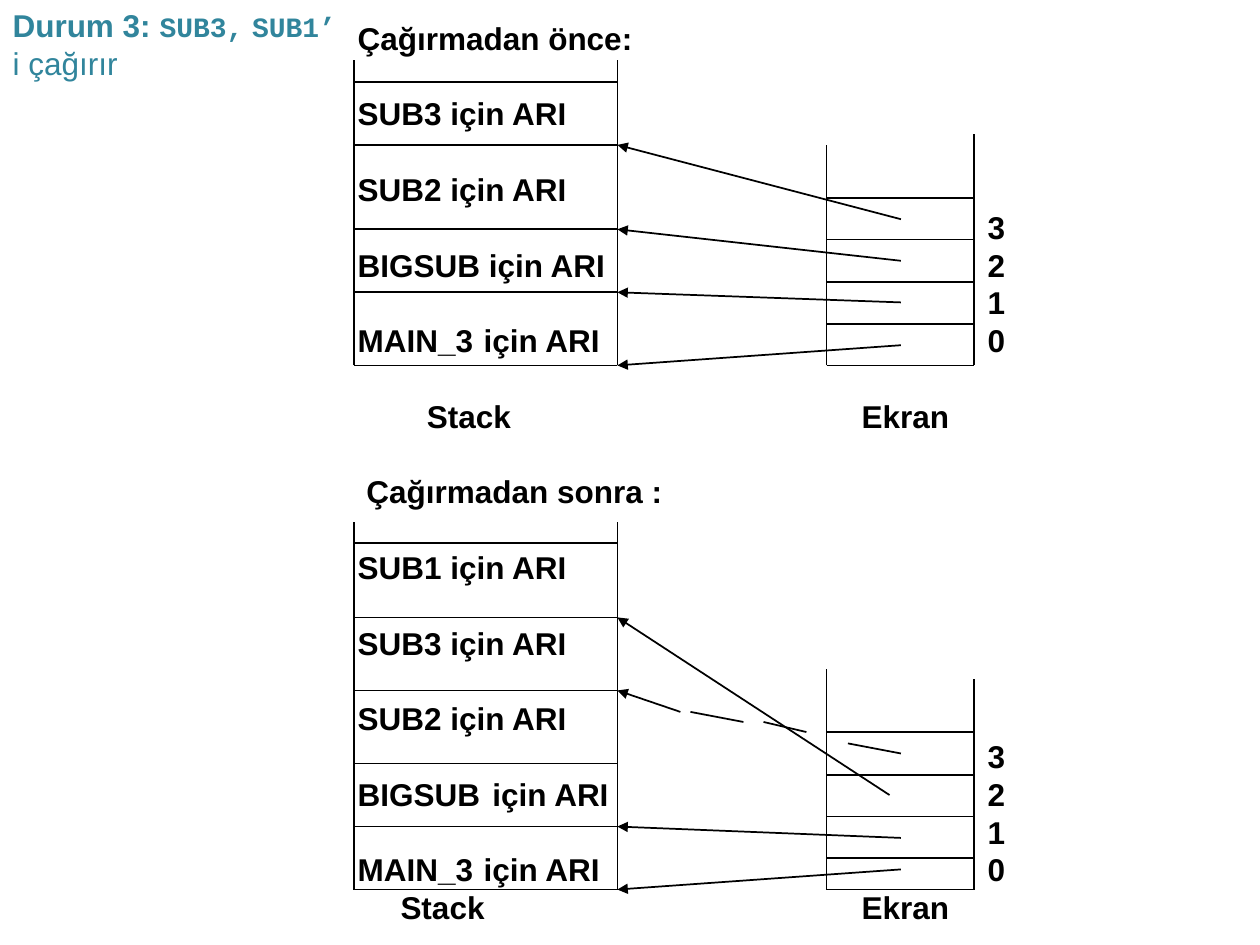
from dataclasses import dataclass

from lxml import etree
from pptx import Presentation
from pptx.dml.color import RGBColor
from pptx.enum.shapes import MSO_CONNECTOR
from pptx.enum.text import MSO_ANCHOR, MSO_AUTO_SIZE, PP_ALIGN
from pptx.oxml.ns import qn
from pptx.util import Inches, Pt

STRAIGHT = MSO_CONNECTOR.STRAIGHT
LEFT = PP_ALIGN.LEFT
TOP = MSO_ANCHOR.TOP
FIXED_SIZE = MSO_AUTO_SIZE.NONE

BLACK = "000000"
TEAL = "31859C"
LINE_PITCH = 21.6

STACK_LEFT, STACK_RIGHT = 2.81, 4.9
DISPLAY_LEFT, DISPLAY_RIGHT = 6.56, 7.73
POINTER_START = 7.15
NUMBER_TAB = 5.0
DISPLAY_TAB = 4.0


@dataclass(frozen=True)
class Column:
    """Open-topped column of cells; rules run from the base upwards."""
    left: float
    right: float
    left_top: float
    right_top: float
    rules: tuple[float, ...]


@dataclass(frozen=True)
class Segment:
    x1: float
    y1: float
    x2: float
    y2: float
    arrow: bool = False


@dataclass(frozen=True)
class Row:
    """One line of labels; tabs are in inches, gap counts the lines skipped above."""
    text: str
    tabs: tuple[float, ...] = ()
    gap: int = 0


def pointer(y1: float, y2: float, start: float = POINTER_START) -> Segment:
    return Segment(start, y1, STACK_RIGHT, y2, arrow=True)


COLUMNS = (
    Column(STACK_LEFT, STACK_RIGHT, 0.48, 0.48, (2.9, 2.32, 1.82, 1.15, 0.65)),
    Column(DISPLAY_LEFT, DISPLAY_RIGHT, 1.15, 1.06, (2.9, 2.57, 2.24, 1.9, 1.57)),
    Column(STACK_LEFT, STACK_RIGHT, 4.14, 4.14, (7.06, 6.56, 6.06, 5.48, 4.9, 4.31)),
    Column(DISPLAY_LEFT, DISPLAY_RIGHT, 5.31, 5.39, (7.06, 6.81, 6.48, 6.15, 5.81)),
)

POINTERS = (
    pointer(2.74, 2.9),
    pointer(2.4, 2.32),
    pointer(2.07, 1.82),
    pointer(1.74, 1.15),
    pointer(6.9, 7.06),
    pointer(6.65, 6.56),
    pointer(6.31, 4.9, start=7.06),
    # The inactive pointer is a broken line.
    pointer(5.65, 5.48, start=5.4),
    Segment(5.48, 5.65, 5.9, 5.73),
    Segment(6.06, 5.73, 6.4, 5.81),
    Segment(6.73, 5.9, 7.15, 5.98),
)

ROWS = (
    Row("Çağırmadan önce:"),
    Row("SUB3 için ARI", gap=1),
    Row("SUB2 için ARI", gap=1),
    Row("\t3", (NUMBER_TAB,)),
    Row("BIGSUB için ARI\t2", (NUMBER_TAB,)),
    Row("\t1", (NUMBER_TAB,)),
    Row("MAIN_3\tiçin ARI\t0", (1.0, NUMBER_TAB)),
    Row("\tStack\tEkran", (0.55, DISPLAY_TAB), gap=1),
    Row("\tÇağırmadan sonra :", (0.07,), gap=1),
    Row("SUB1 için ARI", gap=1),
    Row("SUB3 için ARI", gap=1),
    Row("SUB2 için ARI", gap=1),
    Row("\t3", (NUMBER_TAB,)),
    Row("BIGSUB\tiçin ARI\t2", (1.07, NUMBER_TAB)),
    Row("\t1", (NUMBER_TAB,)),
    Row("MAIN_3\tiçin ARI\t0", (1.0, NUMBER_TAB)),
    Row("\tStack\tEkran", (0.34, DISPLAY_TAB)),
)


def rgb(value: str) -> RGBColor:
    return RGBColor.from_string(value)


def add_text(paragraph, text: str, *, color: str = BLACK, font: str = "Arial",
             size: float = 18, bold: bool = True) -> None:
    run = paragraph.add_run()
    run.text = text
    run.font.name = font
    run.font.size = Pt(size)
    run.font.bold = bold
    run.font.color.rgb = rgb(color)


def prepare_frame(frame) -> None:
    frame.auto_size = FIXED_SIZE
    frame.vertical_anchor = TOP
    frame.word_wrap = False


def prepare_paragraph(paragraph, *, gap: int = 0, tabs: tuple[float, ...] = ()) -> None:
    paragraph.alignment = LEFT
    paragraph.line_spacing = Pt(LINE_PITCH)
    paragraph.space_before = Pt(gap * LINE_PITCH)
    if tabs:
        tab_list = etree.SubElement(paragraph._p.get_or_add_pPr(), qn("a:tabLst"))
        for position in tabs:
            etree.SubElement(tab_list, qn("a:tab"), pos=str(Inches(position)), algn="l")


def draw_segment(slide, segment: Segment) -> None:
    line = slide.shapes.add_connector(
        STRAIGHT, Inches(segment.x1), Inches(segment.y1),
        Inches(segment.x2), Inches(segment.y2))
    line.line.color.rgb = rgb(BLACK)
    line.line.width = Pt(1)
    if segment.arrow:
        etree.SubElement(line.line._get_or_add_ln(), qn("a:tailEnd"), type="triangle")
    etree.SubElement(line._element.spPr, qn("a:effectLst"))


def draw_column(slide, column: Column) -> None:
    base = column.rules[0]
    draw_segment(slide, Segment(column.left, base, column.left, column.left_top))
    draw_segment(slide, Segment(column.right, base, column.right, column.right_top))
    for y in column.rules:
        draw_segment(slide, Segment(column.left, y, column.right, y))


def write_title(slide) -> None:
    title = slide.shapes.title
    title.left, title.top = Inches(0), Inches(0)
    title.width, title.height = Inches(2.8), Inches(0.71)
    frame = title.text_frame
    prepare_frame(frame)
    case_line, action_line = frame.paragraphs[0], frame.add_paragraph()
    prepare_paragraph(case_line)
    prepare_paragraph(action_line)
    add_text(case_line, "Durum 3: ", color=TEAL)
    add_text(case_line, "SUB3,", color=TEAL, font="Courier New", size=16)
    add_text(case_line, " ", color=TEAL)
    add_text(case_line, "SUB1’", color=TEAL, font="Courier New", size=16)
    add_text(action_line, "i çağırır", color=TEAL, bold=False)


def write_labels(slide) -> None:
    labels = slide.shapes.add_textbox(
        Inches(2.74), Inches(0.1), Inches(5.39), Inches(7.3))
    frame = labels.text_frame
    prepare_frame(frame)
    for index, row in enumerate(ROWS):
        paragraph = frame.add_paragraph() if index else frame.paragraphs[0]
        prepare_paragraph(paragraph, gap=row.gap, tabs=row.tabs)
        add_text(paragraph, row.text)


def main() -> None:
    deck = Presentation()
    deck.slide_width, deck.slide_height = Inches(10), Inches(7.5)
    slide = deck.slides.add_slide(deck.slide_layouts[5])
    write_title(slide)
    write_labels(slide)
    for column in COLUMNS:
        draw_column(slide, column)
    for segment in POINTERS:
        draw_segment(slide, segment)
    deck.save("out.pptx")


if __name__ == "__main__":
    main()
